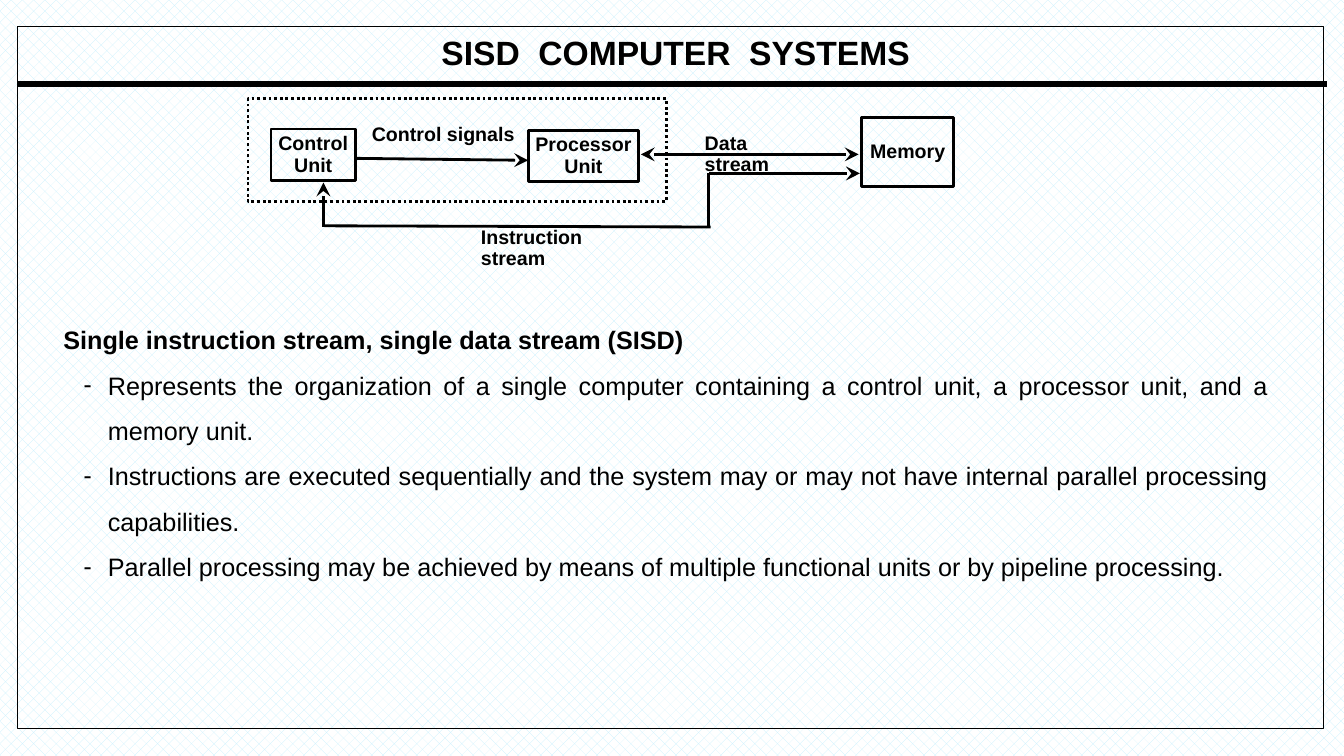
from lxml import etree
from pptx import Presentation
from pptx.dml.color import RGBColor
from pptx.enum.dml import MSO_LINE, MSO_PATTERN
from pptx.enum.shapes import MSO_CONNECTOR, MSO_SHAPE
from pptx.enum.text import MSO_ANCHOR, PP_ALIGN
from pptx.oxml.ns import qn
from pptx.util import Cm, Pt

STRAIGHT, RECTANGLE = MSO_CONNECTOR.STRAIGHT, MSO_SHAPE.RECTANGLE
DOTTED, PATTERN = MSO_LINE.ROUND_DOT, MSO_PATTERN.PERCENT_25
TOP, MIDDLE = MSO_ANCHOR.TOP, MSO_ANCHOR.MIDDLE
LEFT, CENTER, JUSTIFY = PP_ALIGN.LEFT, PP_ALIGN.CENTER, PP_ALIGN.JUSTIFY

# Content, all places in centimetres
COLORS = {"ink": "000000", "hatch": "C4EFFE", "paper": "FFFFFF"}
FONT = "Arial"
TITLE = "SISD  COMPUTER  SYSTEMS"
TITLE_PLACE = (5.89, 0.84, 22.28, 1.07)
FRAME = (0.43, 0.66, 32.92, 17.7)
TITLE_RULE = (0.43, 2.11, 33.43, 2.11)
COMPUTER = (6.25, 2.49, 10.54, 2.59)

# lines of text, place, anchor, line spacing
UNITS = [
    (["Control", "Unit"], (6.83, 3.25, 2.13, 1.3), TOP, 0.96),
    (["Processor", "Unit"], (13.31, 3.28, 2.79, 1.3), TOP, 0.96),
    (["Memory"], (21.72, 2.97, 2.31, 1.73), MIDDLE, 0.87),
]
# start and end point, arrow ends
STREAMS = [
    ((8.94, 3.99, 13.31, 4.04), ["tailEnd"]),
    ((16.15, 3.89, 21.64, 3.89), ["headEnd", "tailEnd"]),
    ((8.18, 5.69, 17.91, 5.72), []),
    ((17.86, 5.69, 17.86, 4.37), []),
    ((17.88, 4.37, 21.67, 4.37), ["tailEnd"]),
    ((8.15, 5.72, 8.15, 4.6), ["tailEnd"]),
]
# text, place
LABELS = [
    ("Instruction stream", (11.94, 5.66, 4.5, 0.69)),
    ("Data stream", (17.58, 3.28, 3.1, 0.69)),
    ("Control signals", (9.19, 3.07, 4.2, 0.69)),
]
BODY_PLACE = (1.35, 7.67, 30.86, 7.04)
HEADING = "Single instruction stream, single data stream (SISD)"
POINTS = [
    "Represents the organization of a single computer containing a control unit, "
    "a processor unit, and a memory unit.",
    "Instructions are executed sequentially and the system may or may not have "
    "internal parallel processing capabilities.",
    "Parallel processing may be achieved by means of multiple functional units "
    "or by pipeline processing.",
]


def color(name):
    return RGBColor.from_string(COLORS[name])


def add_outline(place, width):
    box = page.shapes.add_shape(RECTANGLE, *map(Cm, place))
    box.shadow.inherit = False
    box.fill.background()
    box.line.color.rgb = color("ink")
    box.line.width = Pt(width)
    return box


def add_line(ends, width, arrows=()):
    line = page.shapes.add_connector(STRAIGHT, *map(Cm, ends))
    line.line.color.rgb = color("ink")
    line.line.width = Pt(width)
    outline = line._element.spPr.find(qn("a:ln"))
    for arrow in arrows:
        etree.SubElement(outline, qn("a:" + arrow), type="stealth", w="lg", len="lg")
    etree.SubElement(line._element.spPr, qn("a:effectLst"))


def set_frame(box, wraps, anchor=TOP, side=0.18, end=0.08):
    frame = box.text_frame
    frame.word_wrap = wraps
    frame.vertical_anchor = anchor
    frame.margin_left = frame.margin_right = Cm(side)
    frame.margin_top = frame.margin_bottom = Cm(end)
    return frame


def add_text_box(place, **settings):
    return set_frame(page.shapes.add_textbox(*map(Cm, place)), True, **settings)


def add_lines(frame, lines, size, align, spacing):
    for number, text in enumerate(lines):
        para = frame.add_paragraph() if number else frame.paragraphs[0]
        write(para, text, size, align, spacing)


def write(para, text, size, align, spacing, bold=True):
    para.alignment = align
    para.line_spacing = spacing
    span = para.add_run()
    span.text = text
    span.font.name = FONT
    span.font.size = Pt(size)
    span.font.bold = bold
    span.font.color.rgb = color("ink")


deck = Presentation()
deck.slide_width, deck.slide_height = Cm(33.87), Cm(19.05)
page = deck.slides.add_slide(deck.slide_layouts[6])

# Background, frame and title
backdrop = page.background.fill
backdrop.patterned()
backdrop.pattern = PATTERN
backdrop.fore_color.rgb = color("hatch")
backdrop.back_color.rgb = color("paper")
add_line(TITLE_RULE, 4.5)
add_outline(FRAME, 0.5)
add_lines(add_text_box(TITLE_PLACE, anchor=MIDDLE), [TITLE], 24, CENTER, 0.9)

# Diagram
for lines, place, anchor, spacing in UNITS:
    unit = set_frame(add_outline(place, 2), False, anchor)
    add_lines(unit, lines, 14, CENTER, spacing)
for ends, arrows in STREAMS:
    add_line(ends, 2, arrows)
add_outline(COMPUTER, 2).line.dash_style = DOTTED
for text, place in LABELS:
    add_lines(add_text_box(place), [text], 14, LEFT, 0.9)

# Explanation
body = add_text_box(BODY_PLACE, side=0.25, end=0.13)
add_lines(body, [HEADING], 18, JUSTIFY, 1.5)
for point in POINTS:
    para = body.add_paragraph()
    para.level = 1
    props = para._p.get_or_add_pPr()
    props.set("marL", str(Cm(1.12)))
    props.set("indent", str(Cm(-0.61)))
    etree.SubElement(props, qn("a:buFont"), typeface=FONT)
    etree.SubElement(props, qn("a:buChar"), char="⁃")
    write(para, point, 18, JUSTIFY, 1.5, bold=False)

deck.save("out.pptx")
